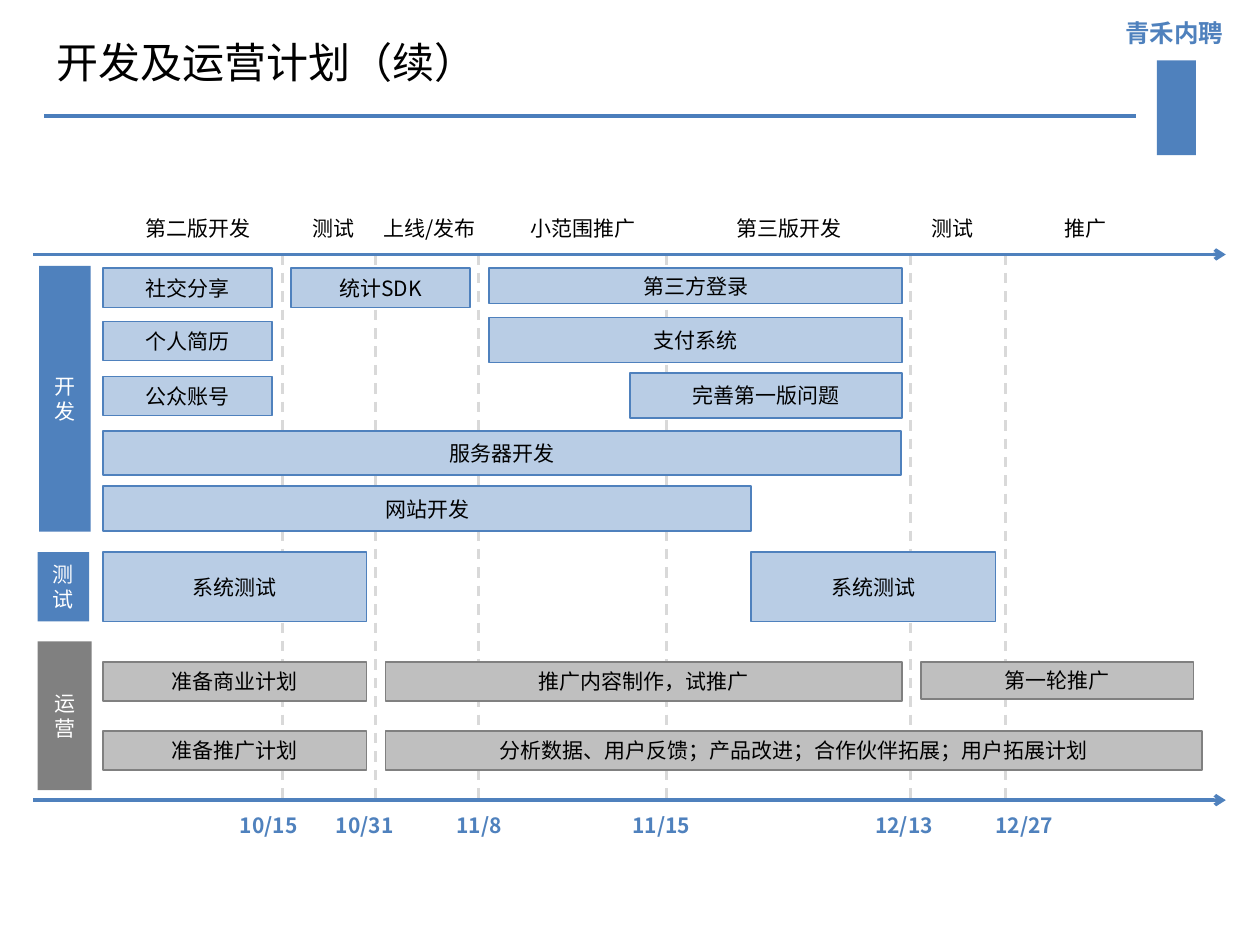
"""Build the development and operations plan slide."""
from pptx import Presentation
from pptx.dml.color import RGBColor
from pptx.enum.dml import MSO_LINE
from pptx.enum.shapes import MSO_CONNECTOR, MSO_SHAPE
from pptx.enum.text import MSO_ANCHOR, MSO_AUTO_SIZE, PP_ALIGN
from pptx.oxml.ns import qn
from pptx.util import Cm, Pt
from lxml import etree

STRAIGHT, RECTANGLE = MSO_CONNECTOR.STRAIGHT, MSO_SHAPE.RECTANGLE
CENTER, LEFT = PP_ALIGN.CENTER, PP_ALIGN.LEFT
MIDDLE, TOP = MSO_ANCHOR.MIDDLE, MSO_ANCHOR.TOP
DASH, NO_FIT = MSO_LINE.DASH, MSO_AUTO_SIZE.NONE

FONT = "Noto Sans CJK SC"
BLUE, PALE_BLUE, GRAY, PALE_GRAY = "4F81BD", "B9CDE5", "808080", "BFBFBF"
BLACK, WHITE, GUIDE, RULE = "000000", "FFFFFF", "D9D9D9", "4B7EBC"

TITLE = "开发及运营计划（续）"
BRAND = "青禾内聘"
AXIS_LEFT, AXIS_RIGHT, AXIS_TOP, AXIS_BOTTOM = 0.67, 24.71, 5.13, 16.13
PHASE_TOP, LABEL_HEIGHT = 4.11, 0.99

PHASES = [
    ("第二版开发", 2.67, 2.64),
    ("测试", 5.87, 1.7),
    ("上线/发布", 7.47, 2.39),
    ("小范围推广", 10.24, 3.02),
    ("第三版开发", 14.58, 2.64),
    ("测试", 18.36, 1.7),
    ("推广", 20.65, 2.46),
]
MILESTONES = [
    ("10/15", 5.69, 4.29, 2.26),
    ("10/31", 7.57, 6.3, 2.11),
    ("11/8", 9.65, 8.81, 1.7),
    ("11/15", 13.44, 12.29, 2.08),
    ("12/13", 18.36, 17.22, 2.01),
    ("12/27", 20.27, 19.43, 2.44),
]
LANES = [
    {"name": "开发", "place": (0.79, 5.36, 1.04, 5.36), "colors": (BLUE, PALE_BLUE),
     "tasks": [
         ("社交分享", 2.08, 5.41, 3.4, 0.79),
         ("统计SDK", 5.87, 5.41, 3.61, 0.79),
         ("第三方登录", 9.86, 5.41, 8.33, 0.71),
         ("个人简历", 2.08, 6.48, 3.4, 0.79),
         ("支付系统", 9.86, 6.4, 8.33, 0.91),
         ("公众账号", 2.08, 7.59, 3.4, 0.79),
         ("完善第一版问题", 12.7, 7.52, 5.49, 0.91),
         ("服务器开发", 2.08, 8.69, 16.08, 0.89),
         ("网站开发", 2.08, 9.8, 13.06, 0.91)]},
    {"name": "测试", "place": (0.76, 11.13, 1.04, 1.4), "colors": (BLUE, PALE_BLUE),
     "tasks": [
         ("系统测试", 2.08, 11.13, 5.31, 1.4),
         ("系统测试", 15.14, 11.13, 4.93, 1.4)]},
    {"name": "运营", "place": (0.76, 12.93, 1.09, 3), "colors": (GRAY, PALE_GRAY),
     "tasks": [
         ("准备商业计划", 2.08, 13.34, 5.31, 0.79),
         ("推广内容制作，试推广", 7.77, 13.34, 10.41, 0.79),
         ("第一轮推广", 18.57, 13.34, 5.49, 0.76),
         ("准备推广计划", 2.08, 14.73, 5.31, 0.79),
         ("分析数据、用户反馈；产品改进；合作伙伴拓展；用户拓展计划", 7.77, 14.73, 16.46, 0.79)]},
]


def rgb(value):
    """Turn a hex string into a colour."""
    return RGBColor.from_string(value)


def apply(target, values):
    """Set each named attribute on the target."""
    for name, value in values.items():
        setattr(target, name, value)


def write(shape, text, color=BLACK, size=12, bold=False, align=CENTER, anchor=MIDDLE, wrap=True):
    """Put one formatted paragraph into a shape."""
    frame = shape.text_frame
    apply(frame, {"auto_size": NO_FIT, "word_wrap": wrap, "vertical_anchor": anchor})
    para = frame.paragraphs[0]
    para.alignment = align
    span = para.add_run()
    span.text = text
    apply(span.font, {"name": FONT, "size": Pt(size), "bold": bold})
    span.font.color.rgb = rgb(color)
    etree.SubElement(span.font._element, qn("a:ea"), typeface=FONT)


def add_label(page, text, left, top, width, height, **style):
    """Add a text box."""
    box = page.shapes.add_textbox(Cm(left), Cm(top), Cm(width), Cm(height))
    write(box, text, **style)


def add_bar(page, left, top, width, height, fill, outline=None):
    """Add a flat rectangle and return it."""
    bar = page.shapes.add_shape(RECTANGLE, Cm(left), Cm(top), Cm(width), Cm(height))
    bar.shadow.inherit = False
    bar.fill.solid()
    bar.fill.fore_color.rgb = rgb(fill)
    if outline:
        bar.line.color.rgb = rgb(outline)
        bar.line.width = Pt(1)
    else:
        bar.line.fill.background()
    return bar


def add_line(page, start, end, color, width=2, dash=None, arrow=False):
    """Add a straight line, dashed or with an arrowhead on request."""
    line = page.shapes.add_connector(STRAIGHT, *map(Cm, start + end))
    line.line.color.rgb = rgb(color)
    apply(line.line, {"width": Pt(width), "dash_style": dash})
    if arrow:
        etree.SubElement(line.line._get_or_add_ln(), qn("a:tailEnd"), type="arrow")
    etree.SubElement(line._element.spPr, qn("a:effectLst"))


def add_header(page):
    """Fill the title and add the rule and brand mark."""
    title = page.shapes.title
    apply(title, {"left": Cm(0.89), "top": Cm(0.61), "width": Cm(18), "height": Cm(1.27)})
    write(title, TITLE, size=24, align=LEFT, anchor=TOP)
    add_line(page, (0.89, 2.34), (22.91, 2.34), RULE)
    add_bar(page, 23.32, 1.22, 0.79, 1.91, BLUE)
    add_label(page, BRAND, 22.43, 0.23, 2.51, 0.86, color=BLUE, size=14, bold=True,
              align=LEFT, anchor=TOP, wrap=False)


def add_schedule(page):
    """Draw the axes, phases, milestones and task lanes."""
    for text, left, width in PHASES:
        add_label(page, text, left, PHASE_TOP, width, LABEL_HEIGHT)
    for text, x, left, width in MILESTONES:
        add_line(page, (x, AXIS_TOP), (x, AXIS_BOTTOM), GUIDE, 1.5, DASH)
        add_label(page, text, left, AXIS_BOTTOM, width, LABEL_HEIGHT, color=BLUE, bold=True)
    for y in (AXIS_TOP, AXIS_BOTTOM):
        add_line(page, (AXIS_LEFT, y), (AXIS_RIGHT, y), BLUE, arrow=True)
    for lane in LANES:
        strong, pale = lane["colors"]
        write(add_bar(page, *lane["place"], strong), lane["name"], color=WHITE)
        for text, *place in lane["tasks"]:
            write(add_bar(page, *place, pale, strong), text)


def main():
    """Create and save the deck."""
    deck = Presentation()
    apply(deck, {"slide_width": Cm(25.4), "slide_height": Cm(19.05)})
    page = deck.slides.add_slide(deck.slide_layouts[5])
    add_header(page)
    add_schedule(page)
    deck.save("out.pptx")


if __name__ == "__main__":
    main()
